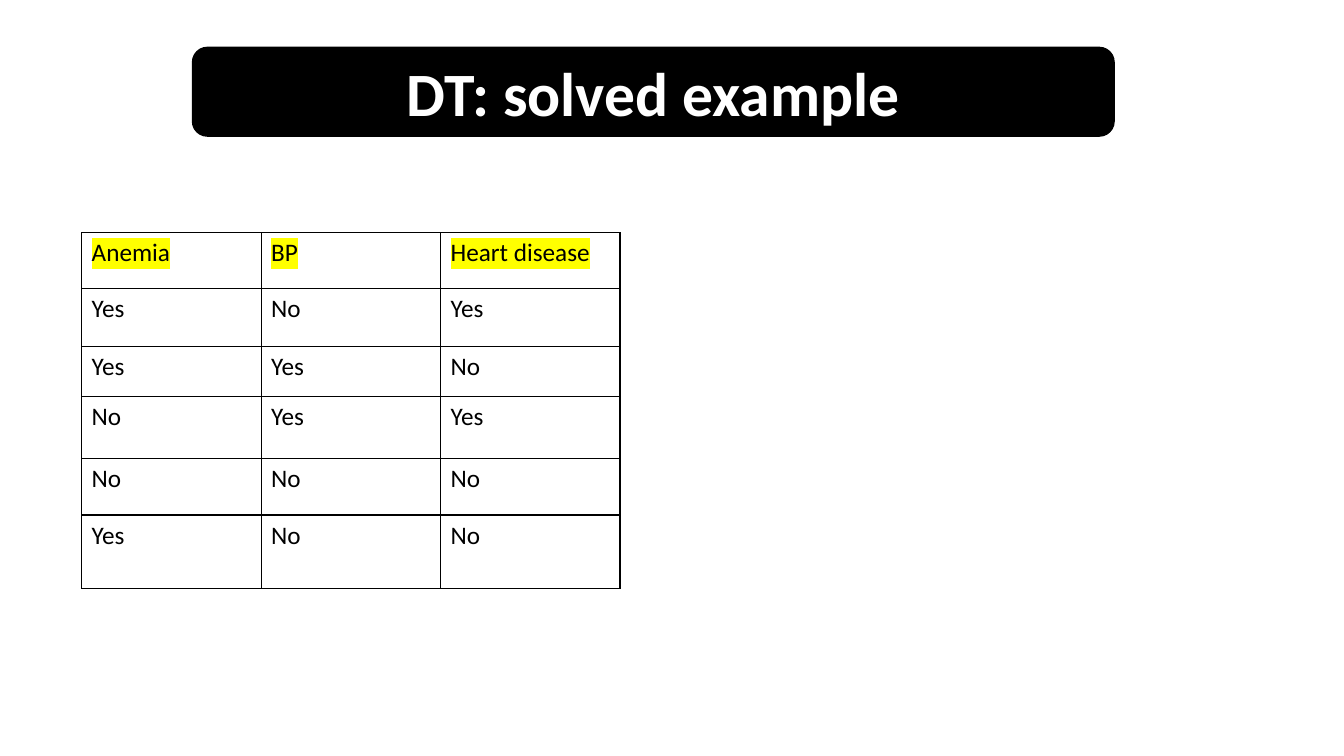
from lxml import etree
from pptx import Presentation
from pptx.dml.color import RGBColor as Rgb
from pptx.enum.shapes import MSO_SHAPE as Shape
from pptx.enum.text import MSO_ANCHOR as Anchor, PP_ALIGN as Align
from pptx.oxml.ns import qn
from pptx.util import Inches, Pt

COLORS = {"ink": "000000", "paper": "FFFFFF", "mark": "FFFF00"}
HEAD = ["Anemia", "BP", "Heart disease"]
CASES = [
    ["Yes", "No", "Yes"],
    ["Yes", "Yes", "No"],
    ["No", "Yes", "Yes"],
    ["No", "No", "No"],
    ["Yes", "No", "No"],
]
WIDTH = 1.78
HEIGHTS = [0.55, 0.58, 0.49, 0.62, 0.56, 0.73]


def add_fill(node, color):
    fill = etree.SubElement(node, qn("a:solidFill"))
    etree.SubElement(fill, qn("a:srgbClr"), val=COLORS[color])


class Board:
    """Holds the style and the current slide."""

    def __init__(self, slide, font="Calibri"):
        self.slide = slide
        self.font = font

    def color(self, name):
        return Rgb.from_string(COLORS[name])

    def label(self, frame, text, size, color, bold=False):
        frame.text = text
        run = frame.paragraphs[0].runs[0]
        run.font.name = self.font
        run.font.size = Pt(size)
        run.font.bold = bold
        run.font.color.rgb = self.color(color)
        return run

    def mark(self, run, color):
        """Highlight a run; the schema wants this just before the font."""
        node = etree.Element(qn("a:highlight"))
        etree.SubElement(node, qn("a:srgbClr"), val=COLORS[color])
        run.font._element.find(qn("a:latin")).addprevious(node)

    def border(self, cell, color, width):
        props = cell._tc.get_or_add_tcPr()
        for spot, side in enumerate("LRTB"):
            line = etree.Element(qn(f"a:ln{side}"), w=str(Pt(width)))
            add_fill(line, color)
            props.insert(spot, line)

    def title(self, text, left, top, width, height):
        box = self.slide.shapes.add_shape(
            Shape.ROUNDED_RECTANGLE,
            Inches(left), Inches(top), Inches(width), Inches(height))
        box.shadow.inherit = False
        box.fill.solid()
        box.fill.fore_color.rgb = self.color("ink")
        box.line.color.rgb = self.color("ink")
        box.line.width = Pt(1)
        frame = box.text_frame
        frame.vertical_anchor = Anchor.MIDDLE
        self.label(frame, text, 44, "paper", bold=True)
        frame.paragraphs[0].alignment = Align.CENTER

    def table(self, rows, left, top, width, heights):
        cols = len(rows[0])
        grid = self.slide.shapes.add_table(
            len(rows), cols, Inches(left), Inches(top),
            Inches(width * cols), Inches(sum(heights))).table
        grid.first_row = grid.horz_banding = False
        for col in grid.columns:
            col.width = Inches(width)
        for r, (texts, height) in enumerate(zip(rows, heights)):
            grid.rows[r].height = Inches(height)
            for c, text in enumerate(texts):
                cell = grid.cell(r, c)
                cell.fill.background()
                self.border(cell, "ink", 1)
                run = self.label(cell.text_frame, text, 18, "ink")
                if r == 0:
                    self.mark(run, "mark")


def main():
    deck = Presentation()
    deck.slide_width = Inches(13.33)
    deck.slide_height = Inches(7.5)
    board = Board(deck.slides.add_slide(deck.slide_layouts[6]))
    board.title("DT: solved example", 1.91, 0.47, 9.14, 0.88)
    board.table([HEAD] + CASES, 0.81, 2.31, WIDTH, HEIGHTS)
    deck.save("out.pptx")


if __name__ == "__main__":
    main()
